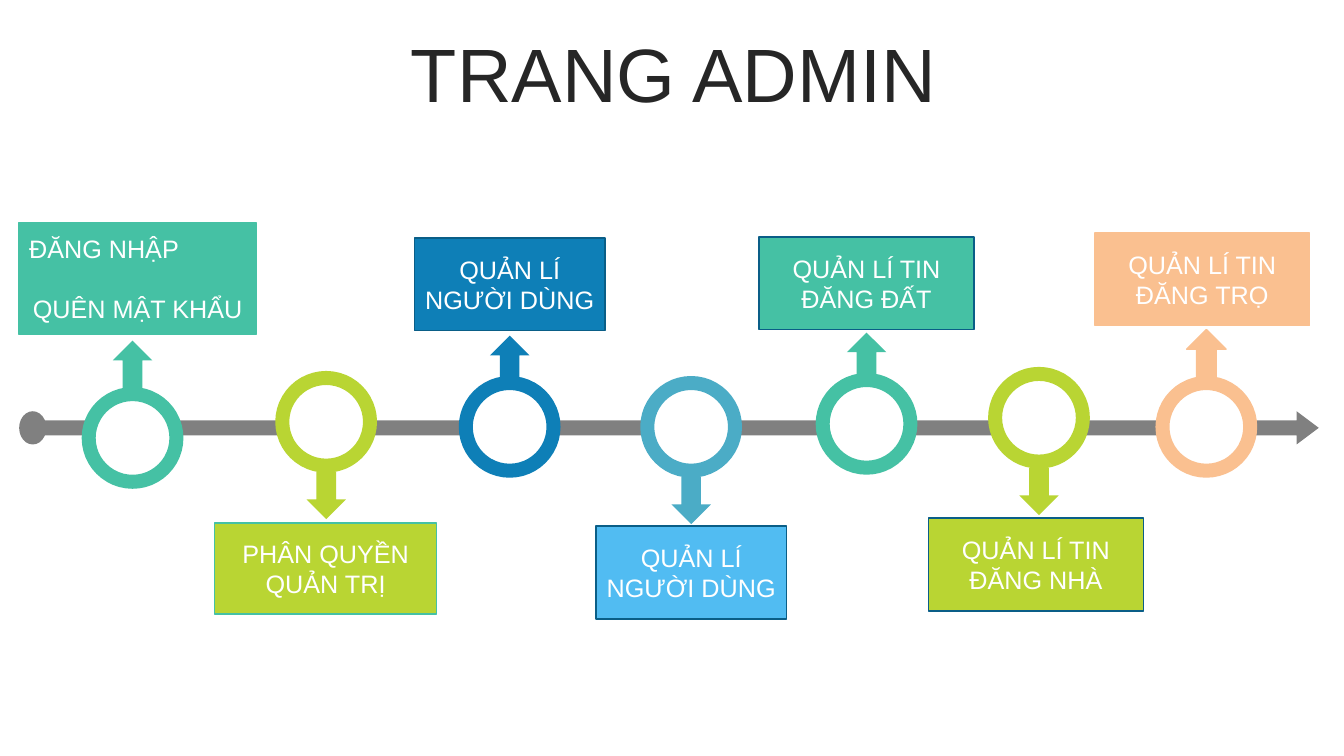
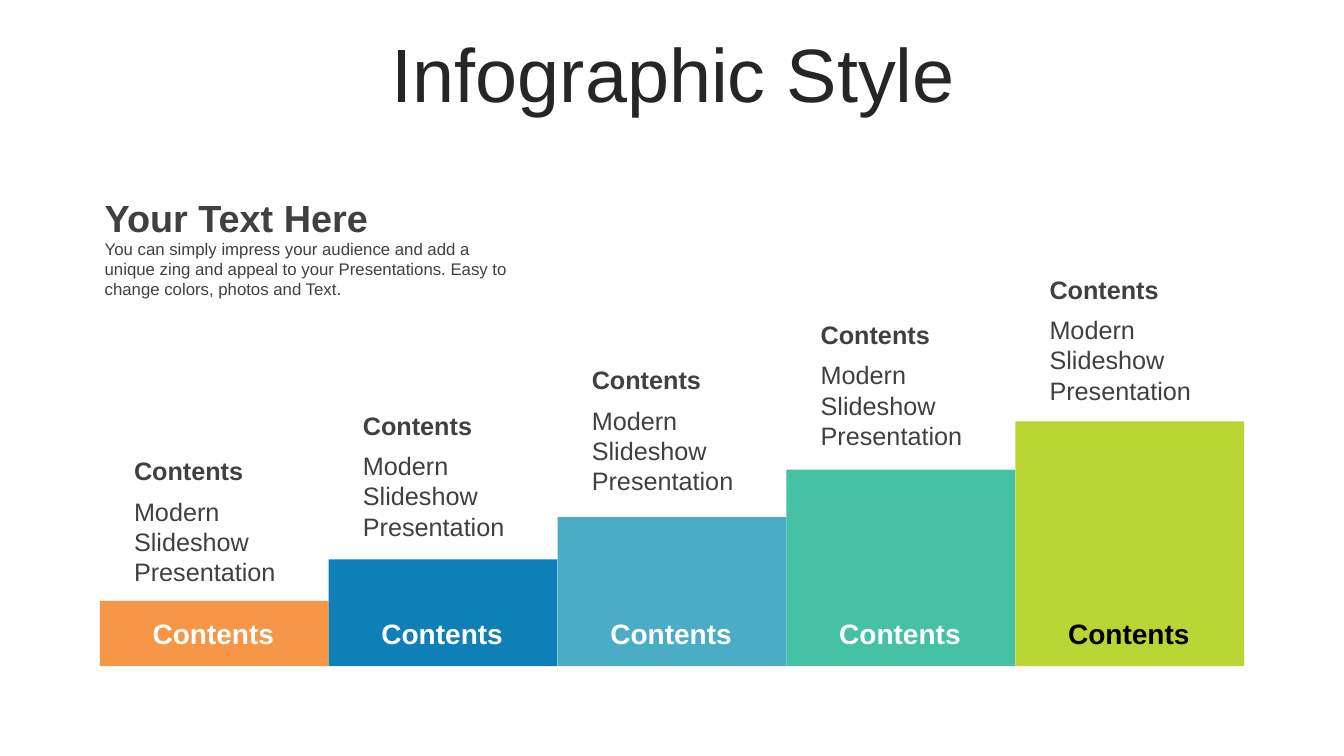
from pptx import Presentation
from pptx.dml.color import RGBColor
from pptx.enum.shapes import MSO_SHAPE as Preset
from pptx.enum.text import MSO_ANCHOR as Anchor, MSO_AUTO_SIZE as AutoSize, PP_ALIGN as Align
from pptx.util import Inches, Pt

FONT = "Arial"
WHITE, BLACK, INK, TEXT, GRAY = "FFFFFF", "000000", "262626", "404040", "808080"
TEAL, LIME, BLUE, NAVY = "45C1A4", "B9D533", "0E7FB7", "0A5E87"
AQUA, SKY, PEACH, ORANGE = "4BACC6", "51BCF2", "FAC090", "F79646"

RING_SIZE = 0.87
ARROW_WIDTH, ARROW_HEIGHT = 0.39, 0.47

# ring left, ring top, direction, gap, ring colour, box place, box fill, box line, lines
MILESTONES = [
    (0.88, 3.91, "up", 0.06, TEAL, (0.19, 2.21, 2.35, 1.11), TEAL, TEAL,
     ["ĐĂNG NHẬP", "QUÊN MẬT KHẨU"]),
    (2.8, 3.75, "down", 0.06, LIME, (2.13, 5.19, 2.2, 0.9), LIME, TEAL,
     ["PHÂN QUYỀN QUẢN TRỊ"]),
    (4.62, 3.8, "up", 0, BLUE, (4.11, 2.36, 1.89, 0.92), BLUE, NAVY,
     ["QUẢN LÍ NGƯỜI DÙNG"]),
    (6.42, 3.8, "down", 0.06, AQUA, (5.91, 5.22, 1.89, 0.92), SKY, NAVY,
     ["QUẢN LÍ NGƯỜI DÙNG"]),
    (8.16, 3.77, "up", 0, TEAL, (7.53, 2.35, 2.13, 0.92), TEAL, NAVY,
     ["QUẢN LÍ TIN ĐĂNG ĐẤT"]),
    (9.87, 3.71, "down", 0.06, LIME, (9.21, 5.14, 2.13, 0.92), LIME, NAVY,
     ["QUẢN LÍ TIN ĐĂNG NHÀ"]),
    (11.53, 3.8, "up", 0.06, PEACH, (10.86, 2.31, 2.13, 0.92), PEACH, PEACH,
     ["QUẢN LÍ TIN ĐĂNG TRỌ"]),
]

STEP_LEFT, STEP_WIDTH, STEP_BOTTOM = 0.99, 2.27, 6.61
STEPS = [
    (5.96, ORANGE, WHITE),
    (5.55, BLUE, WHITE),
    (5.13, AQUA, WHITE),
    (4.66, TEAL, WHITE),
    (4.18, LIME, BLACK),
]


def colour(value):
    return RGBColor.from_string(value)


def inches(place):
    return [Inches(length) for length in place]


def format_text(frame, size, ink, align=Align.LEFT, bold=False):
    for para in frame.paragraphs:
        para.alignment = align
        for span in para.runs:
            span.font.name = FONT
            span.font.size = Pt(size)
            span.font.bold = bold
            span.font.color.rgb = colour(ink)


def add_title(page, text):
    title = page.shapes.title
    title.left, title.top, title.width, title.height = inches((0.35, 0.38, 12.66, 0.79))
    frame = title.text_frame
    frame.text = text
    frame.auto_size = AutoSize.NONE
    frame.vertical_anchor = Anchor.MIDDLE
    frame.paragraphs[0].line_spacing = 0.9
    format_text(frame, 54, INK, Align.CENTER)


def add_preset(shapes, preset, place, fill, line=None, line_width=1):
    shape = shapes.add_shape(preset, *inches(place))
    shape.shadow.inherit = False
    shape.fill.solid()
    shape.fill.fore_color.rgb = colour(fill)
    if line:
        shape.line.color.rgb = colour(line)
        shape.line.width = Pt(line_width)
    else:
        shape.line.fill.background()
    return shape


def add_text(shapes, place, text, size, ink=TEXT, bold=False, align=Align.LEFT,
             anchor=Anchor.TOP, inset=0):
    box = shapes.add_textbox(*inches(place))
    frame = box.text_frame
    frame.word_wrap = True
    frame.margin_left = Inches(inset)
    frame.vertical_anchor = anchor
    frame.text = text
    format_text(frame, size, ink, align, bold)


def add_axis(page):
    shapes = page.shapes.add_group_shape().shapes
    arrow = add_preset(shapes, Preset.RIGHT_ARROW, (0.42, 4.08, 12.66, 0.33), GRAY)
    arrow.adjustments[0], arrow.adjustments[1] = 0.451, 0.666
    add_preset(shapes, Preset.OVAL, (0.19, 4.08, 0.27, 0.33), GRAY)


def add_marker(page, left, top, direction, gap, tint):
    shapes = page.shapes.add_group_shape().shapes
    add_preset(shapes, Preset.OVAL, (left, top, RING_SIZE, RING_SIZE), WHITE, tint, 10)
    arrow_left = left + (RING_SIZE - ARROW_WIDTH) / 2
    if direction == "up":
        preset, arrow_top = Preset.UP_ARROW, top - gap - ARROW_HEIGHT
    else:
        preset, arrow_top = Preset.DOWN_ARROW, top + RING_SIZE + gap
    outline = tint if tint == PEACH else None
    add_preset(shapes, preset, (arrow_left, arrow_top, ARROW_WIDTH, ARROW_HEIGHT),
               tint, outline)


def add_label(page, place, fill, line, lines):
    frame = add_preset(page.shapes, Preset.RECTANGLE, place, fill, line).text_frame
    frame.word_wrap = True
    frame.vertical_anchor = Anchor.MIDDLE
    frame.text = "\n".join(lines)
    format_text(frame, 18, WHITE, Align.CENTER)
    if len(lines) > 1:
        frame.paragraphs[0].alignment = Align.LEFT
        frame.paragraphs[1].space_before = Pt(21)


def add_step(page, index, top, fill, ink):
    left = STEP_LEFT + index * STEP_WIDTH
    add_preset(page.shapes, Preset.RECTANGLE,
               (left, top, STEP_WIDTH, STEP_BOTTOM - top), fill)
    text_top = 4.47 - 0.45 * index
    shapes = page.shapes.add_group_shape().shapes
    add_text(shapes, (left + 0.34, text_top, 1.63, 0.4), "Contents", 18, bold=True)
    add_text(shapes, (left + 0.34, text_top + 0.4, 1.63, 1.01),
             "Modern Slideshow Presentation", 18)
    add_text(page.shapes, (left + 0.35, 6.06, 1.65, 0.44), "Contents", 20, ink,
             True, Align.CENTER, Anchor.MIDDLE)


def build_timeline(page):
    add_title(page, "TRANG ADMIN")
    add_axis(page)
    for left, top, direction, gap, tint, place, fill, line, lines in MILESTONES:
        add_marker(page, left, top, direction, gap, tint)
        add_label(page, place, fill, line, lines)


def build_staircase(page):
    add_title(page, "Infographic Style")
    for index, (top, fill, ink) in enumerate(STEPS):
        add_step(page, index, top, fill, ink)
    shapes = page.shapes.add_group_shape().shapes
    add_text(shapes, (0.94, 1.88, 4.26, 0.56), "Your Text Here", 27, bold=True, inset=0.1)
    add_text(shapes, (0.94, 2.32, 4.26, 0.71),
             "You can simply impress your audience and add a unique zing and appeal to "
             "your Presentations. Easy to change colors, photos and Text.", 12, inset=0.1)


def main():
    deck = Presentation()
    deck.slide_width, deck.slide_height = Inches(13.33), Inches(7.5)
    for build in (build_timeline, build_staircase):
        build(deck.slides.add_slide(deck.slide_layouts[5]))
    deck.save("out.pptx")


if __name__ == "__main__":
    main()
